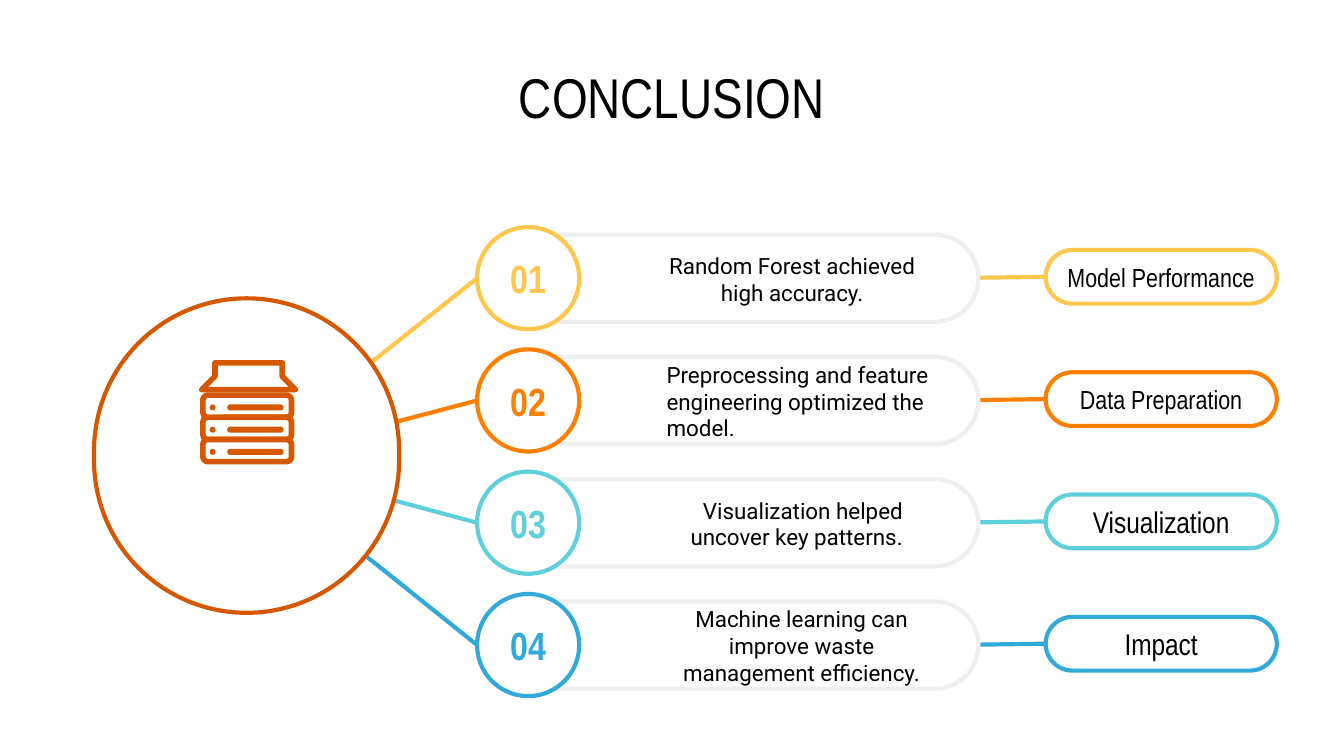
import pptx
import pptx.dml.color
import pptx.enum.shapes
import pptx.enum.text
import pptx.oxml.ns
import pptx.util
from lxml import etree

SHAPE = pptx.enum.shapes.MSO_SHAPE
ALIGN = pptx.enum.text.PP_ALIGN
NARROW, BODY = "Arial Narrow", "Roboto"
COLORS = {
    "white": "FFFFFF", "black": "000000", "bar": "EFEFEF", "hub": "D55800",
    "yellow": "FFC64E", "orange": "FF8001", "teal": "5FD0DB", "blue": "32AAD9",
}

# color, label, label size, finding, finding width in columns, alignment
FINDINGS = [
    ("yellow", "Model Performance", 14,
     "Random Forest achieved high accuracy.", 26.7, ALIGN.CENTER),
    ("orange", "Data Preparation", 14,
     "Preprocessing and feature engineering optimized the model.", 28, ALIGN.LEFT),
    ("teal", "Visualization", 16,
     "Visualization helped uncover key patterns.", 25.6, ALIGN.RIGHT),
    ("blue", "Impact", 16,
     "Machine learning can improve waste management efficiency.", 28.1, ALIGN.CENTER),
]
FIRST_ROW, ROW_PITCH = 20.7, 9.1
HUB_CENTER = (18.4, 34.3)


class Deck:
    """Draws on a grid of 100 columns by 56.25 rows."""

    def __init__(self):
        self.presentation = pptx.Presentation()
        self.presentation.slide_width = pptx.util.Inches(10)
        self.presentation.slide_height = pptx.util.Inches(5.625)
        self.cell = self.presentation.slide_width / 100
        self.slide = self.presentation.slides.add_slide(
            self.presentation.slide_layouts[5])

    def units(self, *lengths):
        return [round(length * self.cell) for length in lengths]

    def color(self, name):
        return pptx.dml.color.RGBColor.from_string(COLORS[name])

    def label(self, shape, text, size, font=NARROW, color="black", bold=False,
              align=ALIGN.CENTER, left=1, right=1):
        frame = shape.text_frame
        frame.word_wrap = True
        frame.auto_size = pptx.enum.text.MSO_AUTO_SIZE.NONE
        frame.vertical_anchor = pptx.enum.text.MSO_ANCHOR.MIDDLE
        frame.margin_left, frame.margin_right = self.units(left, right)
        frame.margin_top, frame.margin_bottom = self.units(1, 1)
        frame.text = text
        paragraph = frame.paragraphs[0]
        paragraph.alignment = align
        paragraph.font.name = font
        paragraph.font.size = pptx.util.Pt(size)
        paragraph.font.bold = bold
        paragraph.font.color.rgb = self.color(color)

    def title(self, text, left, top, width, height):
        title = self.slide.shapes.title
        title.left, title.top, title.width, title.height = self.units(
            left, top, width, height)
        self.label(title, text, 30)

    def note(self, text, left, top, width, height, align):
        box = self.slide.shapes.add_textbox(*self.units(left, top, width, height))
        self.label(box, text, 12, BODY, align=align, left=6, right=2)

    def paint(self, shape, line, fill="white", weight=2.25):
        shape.shadow.inherit = False
        shape.fill.solid()
        shape.fill.fore_color.rgb = self.color(fill)
        shape.line.color.rgb = self.color(line)
        shape.line.width = pptx.util.Pt(weight)

    def shape(self, kind, left, top, width, height, line, rounding=None, **style):
        shape = self.slide.shapes.add_shape(
            kind, *self.units(left, top, width, height))
        if rounding is not None:
            shape.adjustments[0] = rounding
        self.paint(shape, line, **style)
        return shape

    def pill(self, left, top, width, height, line, **style):
        return self.shape(SHAPE.ROUNDED_RECTANGLE, left, top, width, height,
                          line, rounding=0.5, **style)

    def dot(self, left, top, size):
        """Solid circle without an outline, in the hub color."""
        dot = self.shape(SHAPE.OVAL, left, top, size, size, "hub", fill="hub")
        dot.line.fill.background()

    def outline(self, points, line, weight):
        start, *rest = points
        builder = self.slide.shapes.build_freeform(*start, scale=self.cell)
        builder.add_line_segments(rest, close=True)
        self.paint(builder.convert_to_shape(), line, weight=weight)

    def connector(self, start, end, color):
        line = self.slide.shapes.add_connector(
            pptx.enum.shapes.MSO_CONNECTOR.STRAIGHT, *self.units(*start, *end))
        line.line.color.rgb = self.color(color)
        line.line.width = pptx.util.Pt(2.25)
        etree.SubElement(line._element.spPr, pptx.oxml.ns.qn("a:effectLst"))

    def server_icon(self):
        """A lid over three drawers, each with a light and a slot."""
        self.outline([(15.1, 29.4), (15.9, 27.5), (16.2, 27.3), (20.6, 27.3),
                      (20.9, 27.5), (21.7, 29.4)], "hub", 3)
        for drawer in range(3):
            drop = drawer * 1.65
            self.shape(SHAPE.ROUNDED_RECTANGLE, 15.1, 29.4 + drop, 6.6, 1.65,
                       "hub", rounding=0.22, weight=3)
            self.dot(15.6, 30.1 + drop, 0.45)
            slot = self.pill(16.9, 30.1 + drop, 4.2, 0.45, "hub", fill="hub")
            slot.line.fill.background()


def main():
    deck = Deck()
    deck.title("CONCLUSION", 5, 4.5, 90, 5.3)
    centers = [FIRST_ROW + ROW_PITCH * row for row in range(len(FINDINGS))]

    for center, (color, topic, size, *_) in zip(centers, FINDINGS):
        pill = deck.pill(77.8, center - 2.1, 17.2, 4, color)
        deck.label(pill, topic, size)
        deck.connector((70.3, center), (77.8, center - 0.1), color)
        deck.pill(36.6, center - 3.25, 36.2, 6.5, "bar")

    for number, (center, finding) in enumerate(zip(centers, FINDINGS), 1):
        color, _, _, text, width, align = finding
        deck.note(text, 43.6, center - 2.2, width, 4.5, align)
        deck.connector(HUB_CENTER, (35.5, center), color)
        badge = deck.shape(SHAPE.OVAL, 35.5, center - 3.8, 7.6, 7.6, color)
        deck.label(badge, f"{number:02}", 21, color=color, bold=True,
                   left=0, right=0)

    deck.pill(7, 22.2, 22.7, 23.4, "hub")
    deck.server_icon()
    deck.presentation.save("out.pptx")


if __name__ == "__main__":
    main()
